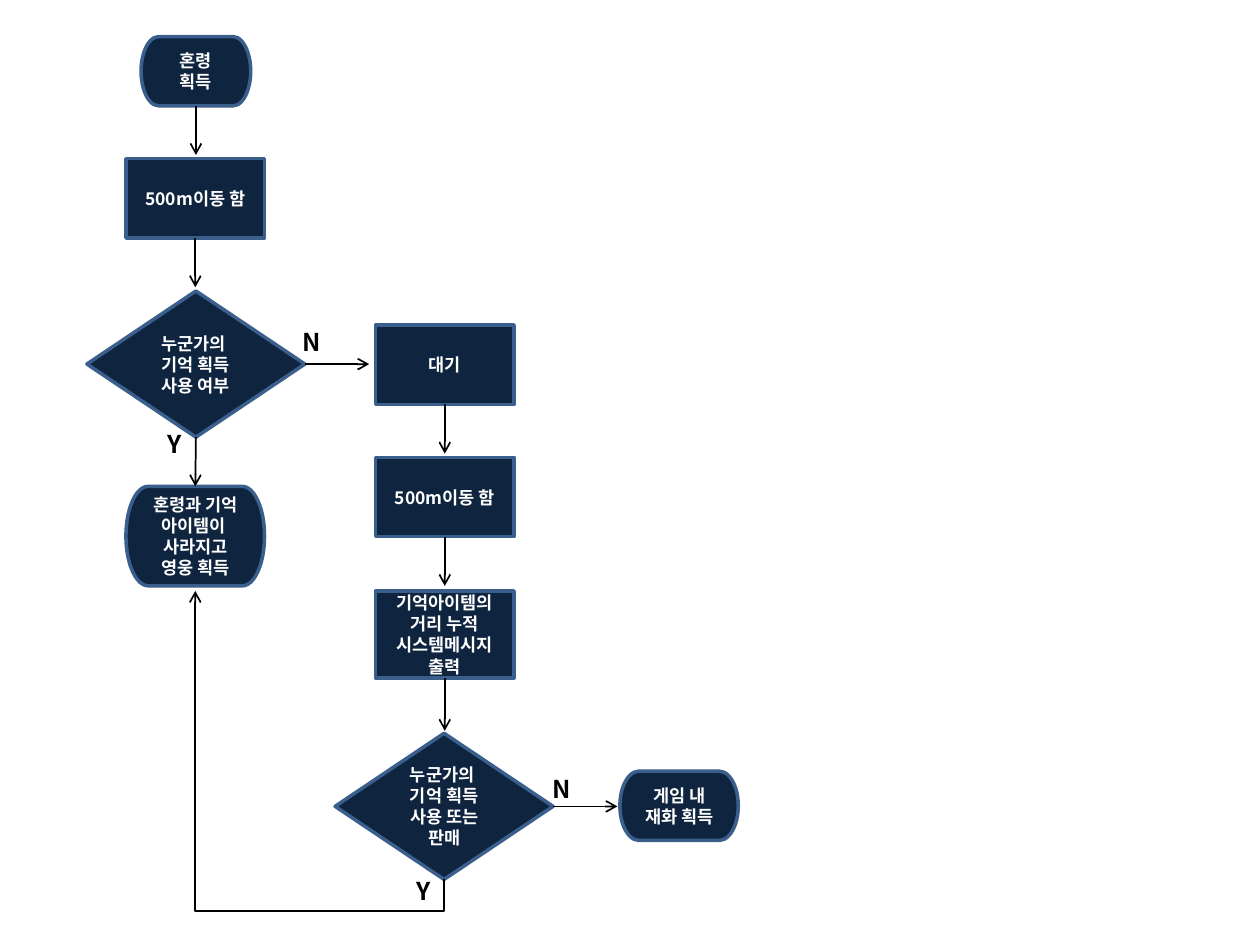
import pptx
import pptx.util
import pptx.dml.color
import pptx.enum.shapes
import pptx.enum.text
import pptx.oxml.ns
import lxml.etree

Inches = pptx.util.Inches
SHAPES = pptx.enum.shapes.MSO_SHAPE
CONNECTORS = pptx.enum.shapes.MSO_CONNECTOR
ALIGN = pptx.enum.text.PP_ALIGN
ANCHOR = pptx.enum.text.MSO_ANCHOR
qn = pptx.oxml.ns.qn

COLORS = {"fill": "0F243E", "outline": "3A5F8C", "light": "FFFFFF", "dark": "000000"}
FONT = "Noto Sans CJK KR"
TOP, BOTTOM, RIGHT = 0, 2, 3
ARROW_GAP = 0.51

NODE_FRAME = {"word_wrap": True, "vertical_anchor": ANCHOR.MIDDLE}
LABEL_FRAME = {"word_wrap": False,
               "auto_size": pptx.enum.text.MSO_AUTO_SIZE.SHAPE_TO_FIT_TEXT}
NODE_FONT = {"size": pptx.util.Pt(10), "bold": True, "name": FONT}
LABEL_FONT = {"size": pptx.util.Pt(14), "bold": True, "name": FONT}


def rgb(name):
    return pptx.dml.color.RGBColor.from_string(COLORS[name])


def set_values(target, values):
    for attribute, value in values.items():
        setattr(target, attribute, value)


class Flowchart:
    def __init__(self, slide):
        self.slide = slide

    def fill_text(self, frame, text, frame_format, font_format, color, align):
        set_values(frame, frame_format)
        frame.text = text
        for paragraph in frame.paragraphs:
            paragraph.alignment = align
            for run in paragraph.runs:
                set_values(run.font, font_format)
                run.font.color.rgb = rgb(color)
                east_asian = lxml.etree.SubElement(run.font._element, qn("a:ea"))
                east_asian.set("typeface", FONT)

    def node(self, kind, left, top, width, height, text):
        node = self.slide.shapes.add_shape(
            kind, Inches(left), Inches(top), Inches(width), Inches(height))
        node.shadow.inherit = False
        node.fill.solid()
        node.fill.fore_color.rgb = rgb("fill")
        node.line.color.rgb = rgb("outline")
        node.line.width = pptx.util.Pt(2)
        self.fill_text(node.text_frame, text, NODE_FRAME, NODE_FONT, "light", ALIGN.CENTER)
        return node

    def process(self, left, top, text, height=0.63):
        return self.node(SHAPES.FLOWCHART_PROCESS, left, top, 1.1, height, text)

    def decision(self, left, top, text):
        return self.node(SHAPES.FLOWCHART_DECISION, left, top, 1.73, 1.16, text)

    def terminator(self, left, top, width, height, text):
        return self.node(SHAPES.FLOWCHART_TERMINATOR, left, top, width, height, text)

    def label(self, left, top, width, text):
        box = self.slide.shapes.add_textbox(
            Inches(left), Inches(top), Inches(width), Inches(0.34))
        self.fill_text(box.text_frame, text, LABEL_FRAME, LABEL_FONT, "dark", ALIGN.LEFT)

    def connector(self, kind, begin_x, begin_y, end_x, end_y):
        arrow = self.slide.shapes.add_connector(kind, begin_x, begin_y, end_x, end_y)
        arrow.line.color.rgb = rgb("dark")
        arrow.line.width = pptx.util.Pt(1)
        properties = arrow._element.spPr
        outline = properties.find(qn("a:ln"))
        lxml.etree.SubElement(outline, qn("a:tailEnd")).set("type", "arrow")
        lxml.etree.SubElement(properties, qn("a:effectLst"))
        return arrow

    def arrow_down(self, source, length=0.39):
        x, y = source.left + source.width // 2, source.top + source.height
        arrow = self.connector(CONNECTORS.STRAIGHT, x, y, x, y + Inches(length))
        arrow.begin_connect(source, BOTTOM)
        return arrow

    def arrow_right(self, source):
        x, y = source.left + source.width, source.top + source.height // 2
        arrow = self.connector(CONNECTORS.STRAIGHT, x, y, x + Inches(ARROW_GAP), y)
        arrow.begin_connect(source, RIGHT)

    def return_arrow(self, source, end_x, end_y, drop):
        """Run below the source, then left and up to the end point."""
        start_x, start_y = source.left + source.width // 2, source.top + source.height
        rise, run = start_y - Inches(end_y), start_x - Inches(end_x)
        middle_x = (start_x + Inches(end_x)) // 2
        middle_y = (start_y + Inches(end_y)) // 2
        # The frame is laid out on its side, then turned by a quarter.
        arrow = self.connector(
            CONNECTORS.ELBOW, middle_x + rise // 2, middle_y - run // 2,
            middle_x - rise // 2, middle_y + run // 2)
        properties = arrow._element.spPr
        properties.find(qn("a:xfrm")).set("rot", "5400000")
        guides = properties.find(qn("a:prstGeom")).find(qn("a:avLst"))
        guide = lxml.etree.SubElement(guides, qn("a:gd"))
        guide.set("name", "adj1")
        guide.set("fmla", f"val {round(-100000 * Inches(drop) / rise)}")


def main():
    deck = pptx.Presentation()
    deck.slide_width, deck.slide_height = Inches(10), Inches(7.5)
    chart = Flowchart(deck.slides.add_slide(deck.slide_layouts[6]))

    soul_gained = chart.terminator(1.12, 0.29, 0.87, 0.55, "혼령\n획득")
    chart.arrow_down(soul_gained)
    first_move = chart.process(1, 1.26, "500m이동 함")
    chart.arrow_down(first_move)
    memory_used = chart.decision(0.69, 2.31, "누군가의 \n기억 획득\n사용 여부")
    chart.arrow_right(memory_used)
    hero_gained = chart.terminator(
        1, 3.86, 1.1, 0.79, "혼령과 기억\n아이템이 \n사라지고\n영웅 획득")
    chart.arrow_down(memory_used).end_connect(hero_gained, TOP)

    waiting = chart.process(2.98, 2.58, "대기")
    second_move = chart.process(2.98, 3.63, "500m이동 함")
    distance_message = chart.process(
        2.98, 4.69, "기억아이템의 거리 누적\n시스템메시지 출력", 0.69)
    for step in (waiting, second_move):
        chart.arrow_down(step)
    chart.arrow_down(distance_message, 0.42)
    memory_sold = chart.decision(2.66, 5.82, "누군가의 \n기억 획득\n사용 또는 판매")
    chart.return_arrow(memory_sold, 1.55, 4.69, 0.25)
    chart.arrow_right(memory_sold)
    chart.terminator(4.92, 6.12, 0.94, 0.55, "게임 내\n재화 획득")

    for left, top in ((1.23, 3.36), (3.21, 6.9)):
        chart.label(left, top, 0.32, "Y")
    for left, top in ((2.3, 2.55), (4.29, 6.09)):
        chart.label(left, top, 0.36, "N")

    deck.save("out.pptx")


if __name__ == "__main__":
    main()
